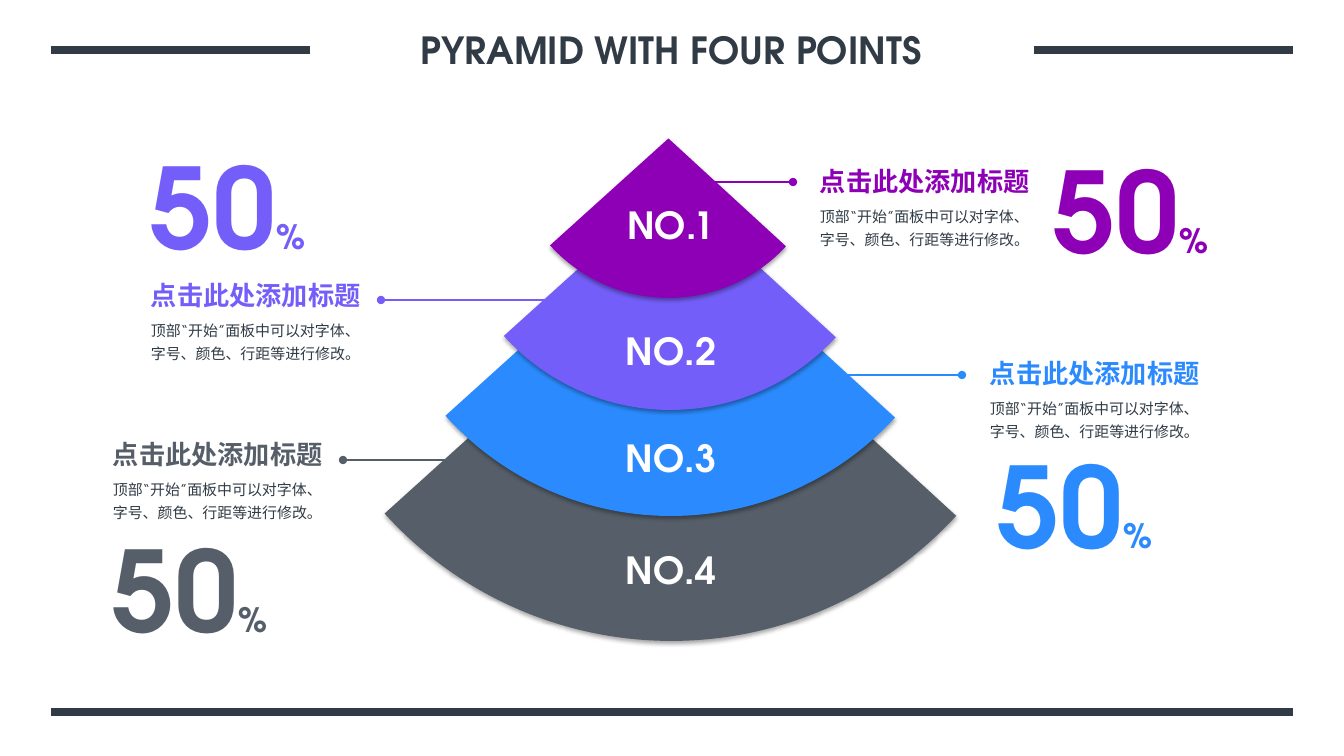
import pptx
import pptx.util
import pptx.dml.color
import pptx.enum.shapes
import pptx.enum.text
import pptx.oxml
import pptx.oxml.ns

RGB = pptx.dml.color.RGBColor
INK = RGB(0x30, 0x3B, 0x45)
WHITE = RGB(0xFF, 0xFF, 0xFF)
PURPLE = RGB(0x8E, 0x00, 0xB6)
VIOLET = RGB(0x74, 0x5E, 0xFA)
BLUE = RGB(0x2B, 0x8B, 0xFE)
GREY = RGB(0x56, 0x5F, 0x69)
FONT = "TeX Gyre Adventor"
NS = pptx.oxml.ns.nsdecls("a")
ALIGN = pptx.enum.text.PP_ALIGN
SCALE = 12192000 / 1344

deck = pptx.Presentation()
deck.slide_width = round(1344 * SCALE)
deck.slide_height = round(756 * SCALE)
slide = deck.slides.add_slide(deck.slide_layouts[6])


def write(box, runs, color, bold=True, align=ALIGN.LEFT, wrap=False, lead=None):
    """Add a text box with runs of (text, size)."""
    shape = slide.shapes.add_textbox(*[round(v * SCALE) for v in box])
    frame = shape.text_frame
    frame.word_wrap = wrap
    para = frame.paragraphs[0]
    para.alignment = align
    if lead:
        para.line_spacing = lead
    for text, size in runs:
        run = para.add_run()
        run.text = text
        run.font.size = pptx.util.Pt(size)
        run.font.bold = bold
        run.font.color.rgb = color
        run.font.name = FONT
        run.font._element.append(
            pptx.oxml.parse_xml(f'<a:ea {NS} typeface="{FONT}"/>'))
    return frame


def rule(start, end, y, color, width, dot=False):
    """Draw a level line, with a dot at its end if asked."""
    line = slide.shapes.add_connector(
        pptx.enum.shapes.MSO_CONNECTOR.STRAIGHT,
        *[round(v * SCALE) for v in (start, y, end, y)])
    line.line.color.rgb = color
    line.line.width = pptx.util.Pt(width)
    if dot:
        line.line._get_or_add_ln().append(
            pptx.oxml.parse_xml(f'<a:tailEnd {NS} type="oval"/>'))
    line._element.spPr.append(pptx.oxml.parse_xml(f'<a:effectLst {NS}/>'))


# Frame bars and title
for start, end, y in [(51, 310, 50), (1034, 1293, 50), (51, 1293, 712)]:
    rule(start, end, y, INK, 6)
title = write((309, 20, 725, 60), [("PYRAMID WITH FOUR POINTS", 26.7)],
              INK, align=ALIGN.CENTER, wrap=True)
title.vertical_anchor = pptx.enum.text.MSO_ANCHOR.MIDDLE

# Pyramid tiers, widest at the back
SHADOW = (f'<a:outerShdw {NS} blurRad="39370" dist="22860" dir="5400000" '
          'algn="t" rotWithShape="0"><a:srgbClr val="000000">'
          '<a:alpha val="35000"/></a:srgbClr></a:outerShdw>')
tiers = [(285, -132, 773, GREY), (367, -92, 608, BLUE),
         (446, -39, 449, VIOLET), (509, -21, 319, PURPLE)]
for left, top, size, color in tiers:
    tier = slide.shapes.add_shape(
        pptx.enum.shapes.MSO_SHAPE.PIE,
        *[round(v * SCALE) for v in (left, top, size, size)])
    tier.adjustments[0] = 25.529
    tier.adjustments[1] = 82.745
    tier.fill.solid()
    tier.fill.fore_color.rgb = color
    tier.line.fill.background()
    tier.shadow.inherit = False
    glow = tier._element.spPr.find(pptx.oxml.ns.qn("a:effectLst"))
    glow.append(pptx.oxml.parse_xml(SHADOW))

# Notes: heading place, percent place, leader line
HEAD = "点击此处添加标题"
BODY = "顶部“开始”面板中可以对字体、字号、颜色、行距等进行修改。"
notes = [
    (PURPLE, 810, 160, 1042, 137, ALIGN.RIGHT, (695, 793, 182)),
    (BLUE, 980, 352, 986, 432, ALIGN.RIGHT, (823, 962, 375)),
    (VIOLET, 141, 274, 141, 133, ALIGN.LEFT, (552, 381, 300)),
    (GREY, 103, 433, 103, 516, ALIGN.LEFT, (462, 343, 460)),
]
for color, left, top, numx, numy, align, lead in notes:
    write((left, top + 37, 240, 57), [(BODY, 10.7)], INK,
          bold=False, wrap=True, lead=1.3)
    write((left, top, 231, 42), [(HEAD, 18.7)], color)
    rule(*lead, color, 1, dot=True)
    write((numx, numy, 176, 146), [("50", 80), ("%", 24)], color, align=align)

# Tier labels
for index, top in enumerate([197, 323, 430, 542], 1):
    write((615, top, 112, 55), [(f"NO.{index}", 26.7)], WHITE,
          align=ALIGN.CENTER)

deck.save("out.pptx")
